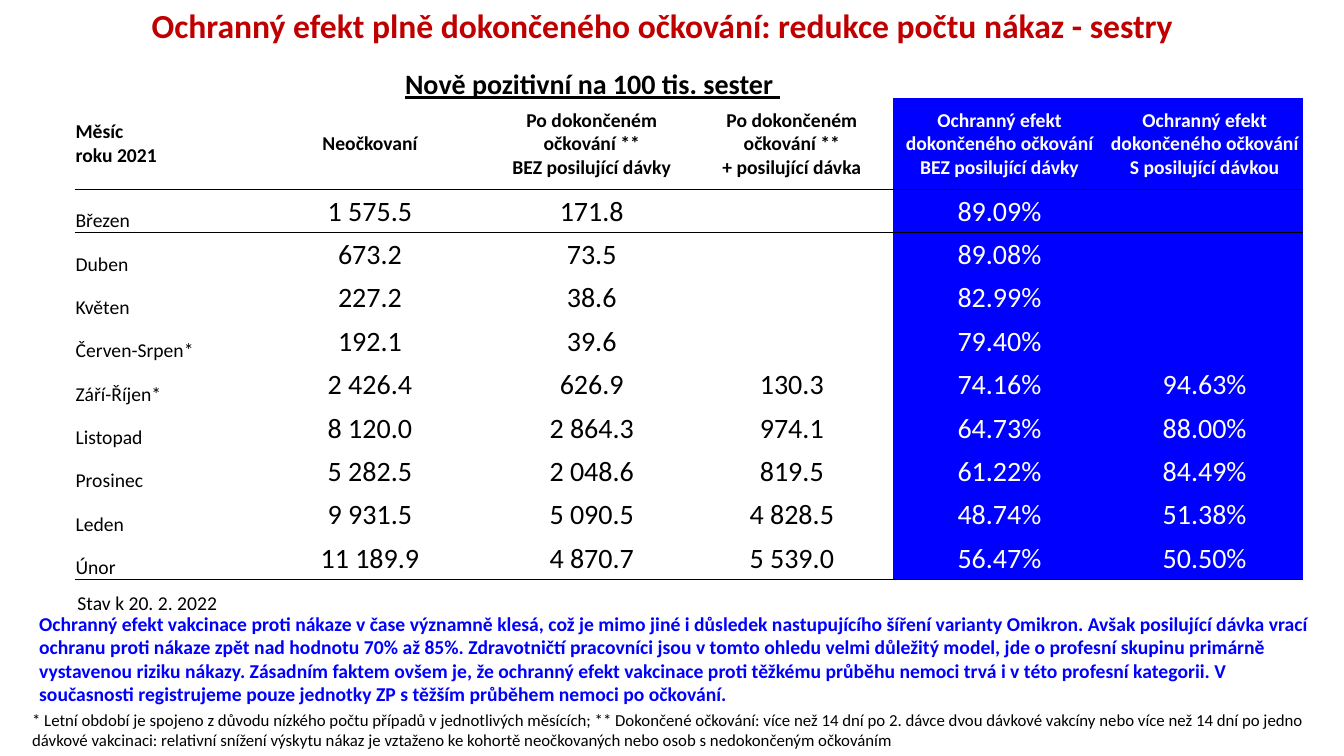
from lxml.etree import SubElement
from pptx import Presentation
from pptx.dml.color import RGBColor
from pptx.enum.text import MSO_ANCHOR, MSO_AUTO_SIZE, PP_ALIGN
from pptx.oxml.ns import qn
from pptx.util import Inches, Pt

WIDTH, HEIGHT = Inches(13.33), Inches(7.5)
BLACK, WHITE, RED, BLUE = "000000", "FFFFFF", "C00000", "0000FF"
NO_STYLE = "{2D5ABB26-0587-4C30-8999-92F81FD0307C}"
COLUMN_SHARES = [12.83, 18.3, 14.7, 15.08, 15.83, 14.7]
SUBTITLE_ROW, HEADER_ROW, FIRST_MONTH_ROW = 0, 1, 2
MONTH_SHARE, HEADER_SHARE = 5.74, 12.13
FIRST_EFFECT_COLUMN = 4

TITLE = "Ochranný efekt plně dokončeného očkování: redukce počtu nákaz - sestry"
SUBTITLE = "Nově pozitivní na 100 tis. sester "
STATUS = "Stav k 20. 2. 2022"
MESSAGE = (
    "Ochranný efekt vakcinace proti nákaze v čase významně klesá, což je mimo jiné i důsledek "
    "nastupujícího šíření varianty Omikron. Avšak posilující dávka vrací ochranu proti nákaze "
    "zpět nad hodnotu 70% až 85%. Zdravotničtí pracovníci jsou v tomto ohledu velmi důležitý "
    "model, jde o profesní skupinu primárně vystavenou riziku nákazy. Zásadním faktem ovšem je, "
    "že ochranný efekt vakcinace proti těžkému průběhu nemoci trvá i v této profesní kategorii. "
    "V současnosti registrujeme pouze jednotky ZP s těžším průběhem nemoci po očkování."
)
FOOTNOTE = (
    "* Letní období je spojeno z důvodu nízkého počtu případů v jednotlivých měsících; "
    "** Dokončené očkování: více než 14 dní po 2. dávce dvou dávkové vakcíny nebo více než "
    "14 dní po jedno dávkové vakcinaci: relativní snížení výskytu nákaz je vztaženo ke kohortě "
    "neočkovaných nebo osob s nedokončeným očkováním"
)
HEADERS = [
    "Měsíc\nroku 2021",
    "Neočkovaní",
    "Po dokončeném\nočkování **\nBEZ posilující dávky",
    "Po dokončeném\nočkování **\n+ posilující dávka",
    "Ochranný efekt dokončeného očkování BEZ posilující dávky",
    "Ochranný efekt dokončeného očkování S posilující dávkou",
]
MONTHS = [
    ["Březen", "1 575.5", "171.8", "", "89.09%", ""],
    ["Duben", "673.2", "73.5", "", "89.08%", ""],
    ["Květen", "227.2", "38.6", "", "82.99%", ""],
    ["Červen-Srpen*", "192.1", "39.6", "", "79.40%", ""],
    ["Září-Říjen*", "2 426.4", "626.9", "130.3", "74.16%", "94.63%"],
    ["Listopad", "8 120.0", "2 864.3", "974.1", "64.73%", "88.00%"],
    ["Prosinec", "5 282.5", "2 048.6", "819.5", "61.22%", "84.49%"],
    ["Leden", "9 931.5", "5 090.5", "4 828.5", "48.74%", "51.38%"],
    ["Únor", "11 189.9", "4 870.7", "5 539.0", "56.47%", "50.50%"],
]


def across(share):
    """Return a percentage of the slide width."""
    return round(WIDTH * share / 100)


def down(share):
    """Return a percentage of the slide height."""
    return round(HEIGHT * share / 100)


def area(left, top, width, height):
    """Return a box given in percentages of the slide."""
    return across(left), down(top), across(width), down(height)


def colour(hex_value):
    """Return the colour for a hex string."""
    return RGBColor.from_string(hex_value)


def assign(target, values):
    """Set every attribute named in a dict."""
    for name, value in values.items():
        setattr(target, name, value)


def write(frame, text, hex_value, size, align=PP_ALIGN.LEFT, **style):
    """Fill a text frame with paragraphs of one format."""
    frame.text = text
    for paragraph in frame.paragraphs:
        paragraph.alignment = align
        assign(paragraph.font, {"name": "Calibri", "size": Pt(size), **style})
        paragraph.font.color.rgb = colour(hex_value)


def add_title(slide):
    """Place and format the slide title."""
    title = slide.shapes.title
    assign(title, dict(zip(("left", "top", "width", "height"), area(1.65, 0.53, 95.27, 19.33))))
    write(title.text_frame, TITLE, RED, 24, PP_ALIGN.CENTER, bold=True)
    assign(title.text_frame, {"auto_size": MSO_AUTO_SIZE.NONE, "vertical_anchor": MSO_ANCHOR.TOP})
    assign(title.text_frame.paragraphs[0], {"line_spacing": 0.9, "space_before": Pt(0)})


def add_note(slide, box, *text_format, **style):
    """Add a wrapping text box."""
    frame = slide.shapes.add_textbox(*area(*box)).text_frame
    frame.word_wrap = True
    write(frame, *text_format, **style)


def add_rule(cell, edge):
    """Draw a thin black rule on one edge of a cell."""
    rule = SubElement(cell._tc.get_or_add_tcPr(), qn(f"a:{edge}"), w=str(Pt(1)))
    SubElement(SubElement(rule, qn("a:solidFill")), qn("a:srgbClr"), val=BLACK)


def fill_cell(cell, row, column, text, last_row):
    """Give a cell its rules, fill and text."""
    if row == FIRST_MONTH_ROW:
        add_rule(cell, "lnT")
    if row in (HEADER_ROW, last_row):
        add_rule(cell, "lnB")
    is_effect = column >= FIRST_EFFECT_COLUMN and row >= HEADER_ROW
    if is_effect:
        cell.fill.solid()
        cell.fill.fore_color.rgb = colour(BLUE)
    else:
        cell.fill.background()
    if not text:
        return
    is_header, is_label = row == HEADER_ROW, column == 0
    margin = Inches(0.01)
    assign(cell, {
        "margin_left": margin, "margin_right": margin, "margin_top": margin, "margin_bottom": 0,
        "vertical_anchor": MSO_ANCHOR.BOTTOM if is_label and not is_header else MSO_ANCHOR.MIDDLE,
    })
    write(cell.text_frame, text, WHITE if is_effect else BLACK,
          14 if is_header or is_label else 20,
          PP_ALIGN.LEFT if is_label else PP_ALIGN.CENTER, bold=is_header)


def add_month_table(slide):
    """Add the table of infections and protective effect by month."""
    rows = [[""] * len(HEADERS), HEADERS, *MONTHS]
    frame = slide.shapes.add_table(len(rows), len(HEADERS), *area(5.55, 7.2, 91.44, 69.53))
    table = frame.table
    assign(table, {"first_row": False, "horz_banding": False})
    table._tbl.tblPr.find(qn("a:tableStyleId")).text = NO_STYLE
    for column, share in zip(table.columns, COLUMN_SHARES):
        column.width = across(share)
    for row, texts in enumerate(rows):
        table.rows[row].height = down(HEADER_SHARE if row == HEADER_ROW else MONTH_SHARE)
        for column, text in enumerate(texts):
            fill_cell(table.cell(row, column), row, column, text, len(rows) - 1)
    table.cell(SUBTITLE_ROW, 2).merge(table.cell(SUBTITLE_ROW, 5))


def main():
    """Build and save the slide."""
    deck = Presentation()
    assign(deck, {"slide_width": WIDTH, "slide_height": HEIGHT})
    slide = deck.slides.add_slide(deck.slide_layouts[5])
    add_title(slide)
    add_note(slide, (27.46, 8.13, 33.23, 5.87), SUBTITLE, BLACK, 20, PP_ALIGN.CENTER,
             bold=True, underline=True)
    add_note(slide, (1.65, 93.2, 97.45, 6.67), FOOTNOTE, BLACK, 12)
    add_month_table(slide)
    add_note(slide, (5.03, 77.47, 16.58, 4.53), STATUS, BLACK, 14)
    add_note(slide, (2.18, 80.27, 96.55, 13.87), MESSAGE, BLUE, 14, bold=True)
    deck.save("out.pptx")


if __name__ == "__main__":
    main()
